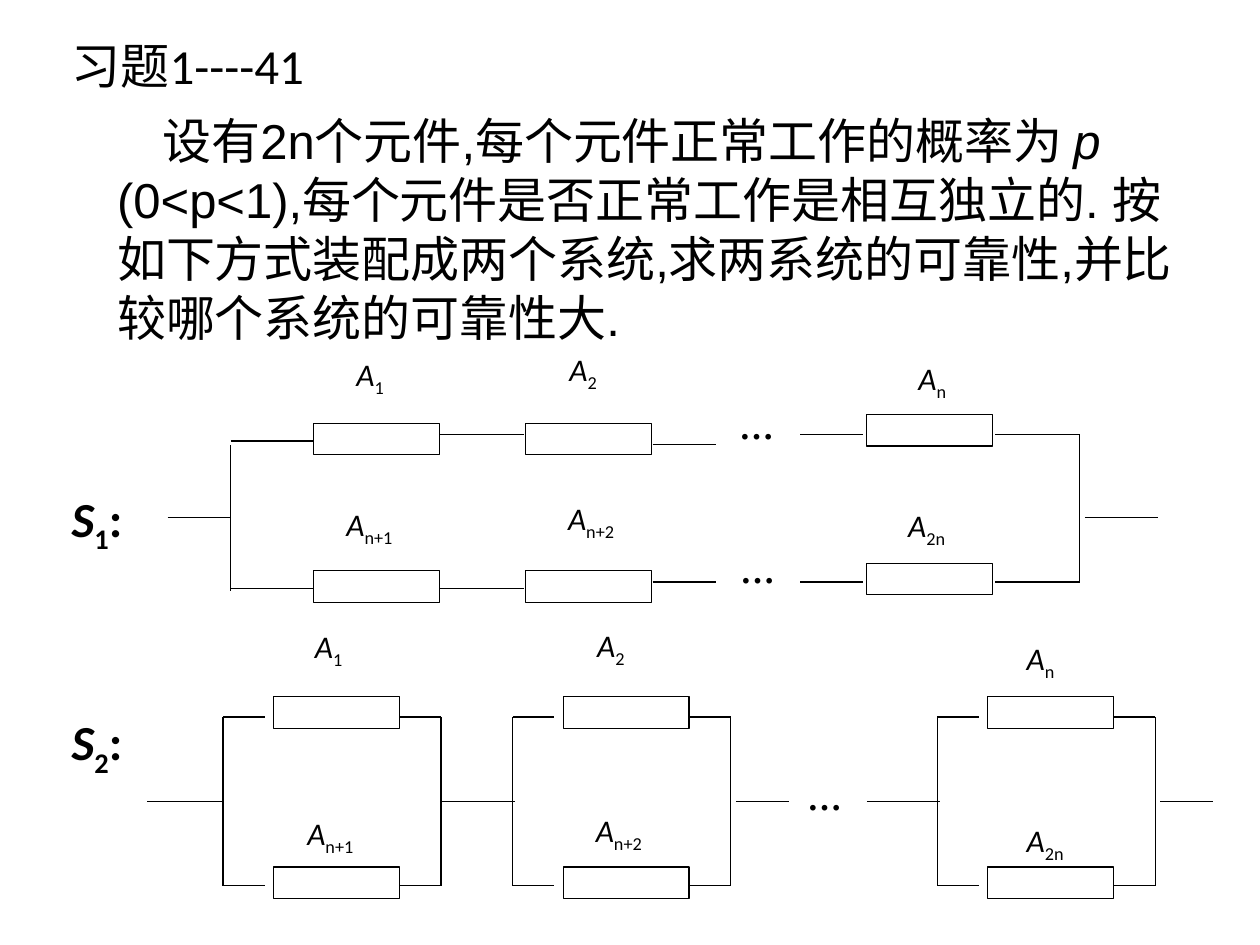
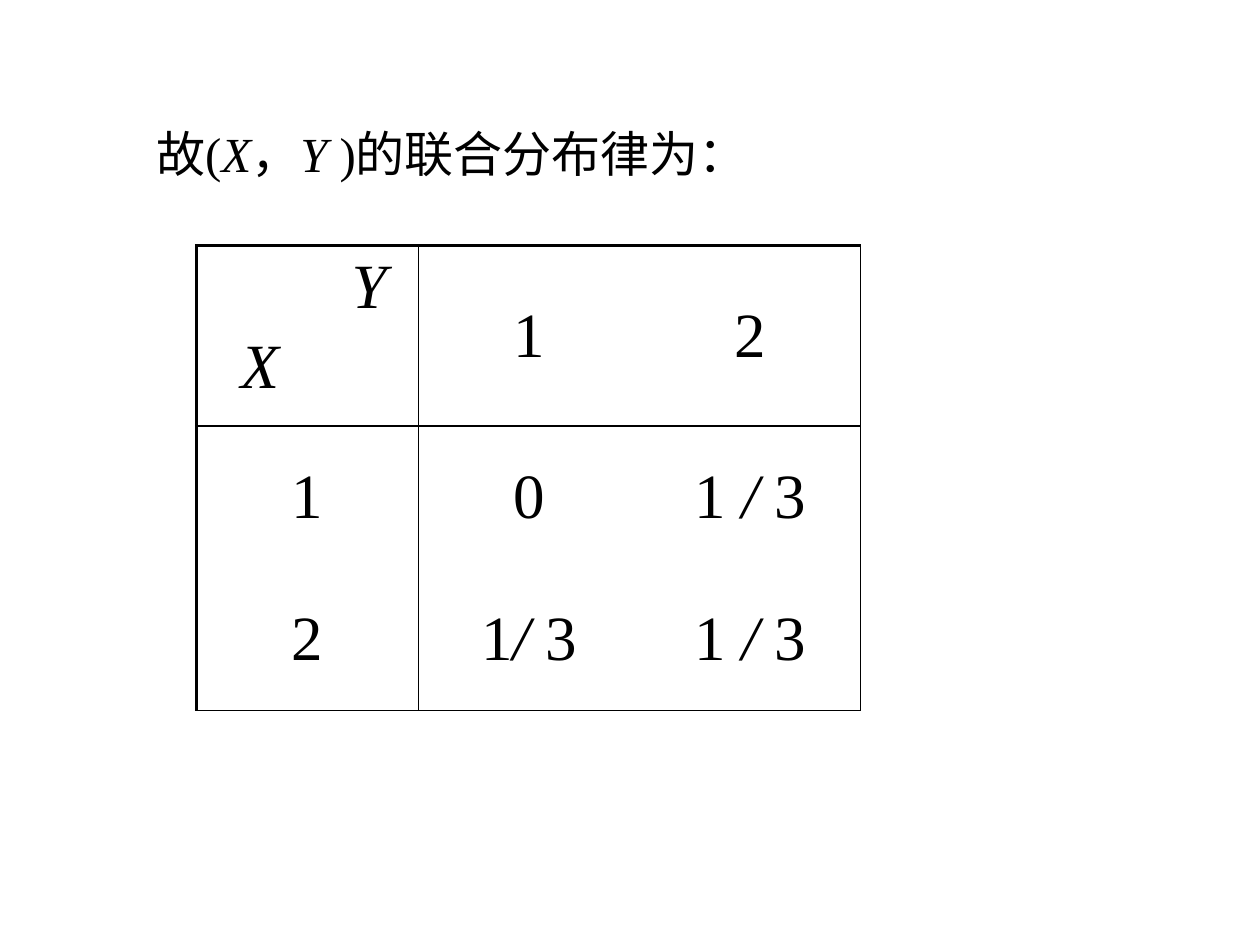
from dataclasses import dataclass
from typing import NamedTuple

from lxml import etree
from pptx import Presentation
from pptx import util as u
from pptx.dml.color import RGBColor
from pptx.enum import shapes, text
from pptx.oxml.ns import qn


@dataclass(frozen=True)
class Theme:
    ink: RGBColor = RGBColor(0, 0, 0)
    latin: str = "Calibri"
    body: str = "Arial"
    math: str = "Times New Roman"
    chinese: str = "Noto Sans CJK SC"
    heading: int = 28
    label: int = 18
    dots: int = 20
    cell: int = 36
    thin: float = 0.75
    rule: float = 1
    frame: float = 2.25


class Run(NamedTuple):
    words: str
    italic: bool = False
    sub: bool = False
    font: str = ""


class Component(NamedTuple):
    left: float
    top: float
    index: str
    label_left: float
    label_top: float


THEME = Theme()
UNIT_WIDTH, UNIT_HEIGHT = 1, 0.25
NO_TABLE_STYLE = "{2D5ABB26-0587-4C30-8999-92F81FD0307C}"


# Shared drawing functions
def write(paragraph, *runs: Run, size: float, font: str = THEME.latin,
          bold: bool = False, align=text.PP_ALIGN.LEFT, margin: float = 0,
          indent: float = 0, before: float = 0, spacing: float = 1) -> None:
    paragraph.alignment = align
    paragraph.space_before = u.Pt(before)
    paragraph.line_spacing = spacing
    properties = paragraph._p.get_or_add_pPr()
    properties.set("marL", str(u.Inches(margin)))
    properties.set("indent", str(u.Inches(indent)))
    etree.SubElement(properties, qn("a:buNone"))
    for part in runs:
        run = paragraph.add_run()
        run.text = part.words
        run.font.size = u.Pt(size)
        run.font.bold = bold
        run.font.italic = part.italic
        run.font.color.rgb = THEME.ink
        run.font.name = part.font or font
        r_pr = run._r.get_or_add_rPr()
        etree.SubElement(r_pr, qn("a:ea")).set("typeface", THEME.chinese)
        if part.sub:
            r_pr.set("baseline", "-25000")


def place(holder, left: float, top: float, width: float, height: float):
    """Move a placeholder and return its first paragraph."""
    holder.left, holder.top = u.Inches(left), u.Inches(top)
    holder.width, holder.height = u.Inches(width), u.Inches(height)
    frame = holder.text_frame
    frame.word_wrap = True
    frame.auto_size = text.MSO_AUTO_SIZE.NONE
    frame.vertical_anchor = text.MSO_ANCHOR.TOP
    return frame.paragraphs[0]


def label(slide, left: float, top: float, width: float, height: float,
          *runs: Run, **form) -> None:
    box = slide.shapes.add_textbox(u.Inches(left), u.Inches(top),
                                   u.Inches(width), u.Inches(height))
    box.text_frame.word_wrap = True
    write(box.text_frame.paragraphs[0], *runs, **form)


def wire(slide, x1: float, y1: float, x2: float, y2: float) -> None:
    line = slide.shapes.add_connector(
        shapes.MSO_CONNECTOR.STRAIGHT, u.Inches(x1), u.Inches(y1),
        u.Inches(x2), u.Inches(y2))
    line.line.color.rgb = THEME.ink
    line.line.width = u.Pt(THEME.thin)
    etree.SubElement(line._element.spPr, qn("a:effectLst"))


def draw_component(slide, item: Component) -> None:
    unit = slide.shapes.add_shape(
        shapes.MSO_SHAPE.RECTANGLE, u.Inches(item.left), u.Inches(item.top),
        u.Inches(UNIT_WIDTH), u.Inches(UNIT_HEIGHT))
    unit.shadow.inherit = False
    unit.fill.background()
    unit.line.color.rgb = THEME.ink
    unit.line.width = u.Pt(THEME.thin)
    label(slide, item.label_left, item.label_top, 0.62, 0.4,
          Run("A", italic=True), Run(item.index, sub=True), size=THEME.label)


def dots(slide, left: float, top: float) -> None:
    label(slide, left, top, 0.48, 0.44, Run("…"), size=THEME.dots,
          font=THEME.chinese, bold=True)


def system_name(slide, number: str, top: float) -> None:
    label(slide, 0.47, top, 0.65, 0.57, Run("S", italic=True),
          Run(number, sub=True), Run(":"), size=THEME.heading, bold=True)


# Slide 1: the exercise and its two circuits
def draw_series_system(slide) -> None:
    """S1: two series branches joined in parallel."""
    system_name(slide, "1", 3.83)
    for item in (Component(2.49, 3.36, "1", 2.73, 2.77),
                 Component(4.17, 3.36, "2", 4.42, 2.73),
                 Component(6.88, 3.29, "n", 7.19, 2.8),
                 Component(2.49, 4.53, "n+1", 2.65, 3.96),
                 Component(4.17, 4.53, "n+2", 4.41, 3.91),
                 Component(6.88, 4.47, "2n", 7.11, 3.97)):
        draw_component(slide, item)
    spans = ((1.83, 2.49), (3.49, 4.16), (5.18, 5.68), (6.35, 6.85), (7.9, 8.57))
    upper = (3.5, 3.45, 3.53, 3.45, 3.45)
    lower = (4.67, 4.67, 4.62, 4.62, 4.62)
    for (start, end), *heights in zip(spans, upper, lower):
        for y in heights:
            wire(slide, start, y, end, y)
    wire(slide, 1.83, 3.53, 1.83, 4.69)
    wire(slide, 8.57, 3.45, 8.57, 4.62)
    for start, end in ((1.33, 1.83), (8.61, 9.19)):
        wire(slide, start, 4.11, end, 4.11)
    dots(slide, 5.77, 3.25)
    dots(slide, 5.78, 4.39)


def draw_parallel_system(slide) -> None:
    """S2: parallel pairs joined in series."""
    system_name(slide, "2", 5.6)
    upper, lower, stub, block_width = 5.69, 7.03, 0.33, 1.73
    blocks = ((1.77, ("1", 2.4, 4.93), ("n+1", 2.34, 6.41)),
              (4.07, ("2", 4.64, 4.92), ("n+2", 4.63, 6.39)),
              (7.44, ("n", 8.05, 5.02), ("2n", 8.05, 6.47)))
    for left, top_label, bottom_label in blocks:
        right = left + block_width
        draw_component(slide, Component(left + 0.4, 5.53, *top_label))
        draw_component(slide, Component(left + 0.4, 6.88, *bottom_label))
        for side, inner in ((left, left + stub), (right, right - stub)):
            wire(slide, side, upper, side, lower)
            for y in (upper, lower):
                wire(slide, side, y, inner, y)
    for start, end in ((1.17, 1.76), (3.51, 4.09), (5.84, 6.26),
                       (6.88, 7.46), (9.21, 9.63)):
        wire(slide, start, 6.36, end, 6.36)
    dots(slide, 6.31, 6.19)


def build_exercise(deck) -> None:
    slide = deck.slides.add_slide(deck.slide_layouts[1])
    write(place(slide.shapes.title, 0.47, 0.23, 6.88, 0.57),
          Run("习题1----41"), size=THEME.heading)
    write(place(slide.placeholders[1], 0.83, 0.83, 8.78, 1.99),
          Run("设有2n个元件,每个元件正常工作的概率为 "),
          Run("p", italic=True),
          Run(" (0<p<1),每个元件是否正常工作是相互独立的. 按如下方式装配成"
              "两个系统,求两系统的可靠性,并比较哪个系统的可靠性大."),
          size=THEME.heading, font=THEME.body, indent=0.36)
    draw_series_system(slide)
    draw_parallel_system(slide)


# Slide 2: the joint distribution table
def set_borders(cell, **widths: float) -> None:
    """Draw the sides that have a width and hide the others."""
    properties = cell._tc.get_or_add_tcPr()
    for side in ("L", "R", "T", "B"):
        width = widths.get(side, 0)
        edge = etree.SubElement(properties, qn("a:ln" + side))
        edge.set("w", str(u.Pt(width)))
        if width:
            fill = etree.SubElement(edge, qn("a:solidFill"))
            etree.SubElement(fill, qn("a:srgbClr")).set("val", str(THEME.ink))
        else:
            etree.SubElement(edge, qn("a:noFill"))


def cell_borders(row: int, column: int) -> dict[str, float]:
    """Heavy top and left frame; thin rules round the heading cells."""
    return {
        "L": (THEME.frame, THEME.rule, 0)[column],
        "R": (THEME.rule, 0, THEME.rule)[column],
        "T": (THEME.frame, THEME.rule, 0)[row],
        "B": (THEME.rule, 0, THEME.rule)[row],
    }


def build_distribution(deck) -> None:
    slide = deck.slides.add_slide(deck.slide_layouts[5])
    write(place(slide.shapes.title, 1.14, 0.65, 8.47, 0.76),
          Run("故"), Run("(", font=THEME.math),
          Run("X", italic=True, font=THEME.math),
          Run("，", font=THEME.math),
          Run("Y ", italic=True, font=THEME.math),
          Run(")", font=THEME.math), Run("的联合分布律为："),
          size=THEME.heading, spacing=1.6)

    table_frame = slide.shapes.add_table(3, 3, u.Inches(1.56), u.Inches(1.95),
                                         u.Inches(5.27), u.Inches(3.69))
    table = table_frame.table
    table.first_row = table.horz_banding = False
    table._tbl.tblPr.find(qn("a:tableStyleId")).text = NO_TABLE_STYLE
    for column, width in zip(table.columns, (1.76, 1.76, 1.75)):
        column.width = u.Inches(width)
    for row, height in zip(table.rows, (1.43, 1.13, 1.13)):
        row.height = u.Inches(height)

    slash = Run("/ ", italic=True)
    third = (Run("1 "), slash, Run("3"))
    values = (((), (Run("1"),), (Run("2"),)),
              ((Run("1"),), (Run("0"),), third),
              ((Run("2"),), (Run("1"), slash, Run("3")), third))
    form = dict(size=THEME.cell, font=THEME.math, before=6)
    for row, entries in enumerate(values):
        for column, runs in enumerate(entries):
            cell = table.cell(row, column)
            set_borders(cell, **cell_borders(row, column))
            cell.fill.background()
            if runs:
                cell.vertical_anchor = text.MSO_ANCHOR.MIDDLE
                write(cell.text_frame.paragraphs[0], *runs,
                      align=text.PP_ALIGN.CENTER, **form)

    # Corner cell names both variables
    corner = table.cell(0, 0).text_frame
    write(corner.paragraphs[0], Run("Y", italic=True), margin=1.13, **form)
    write(corner.add_paragraph(), Run("X", italic=True), margin=0.25, **form)


def main() -> None:
    deck = Presentation()
    deck.slide_width, deck.slide_height = u.Inches(10), u.Inches(7.5)
    build_exercise(deck)
    build_distribution(deck)
    deck.save("out.pptx")


main()
